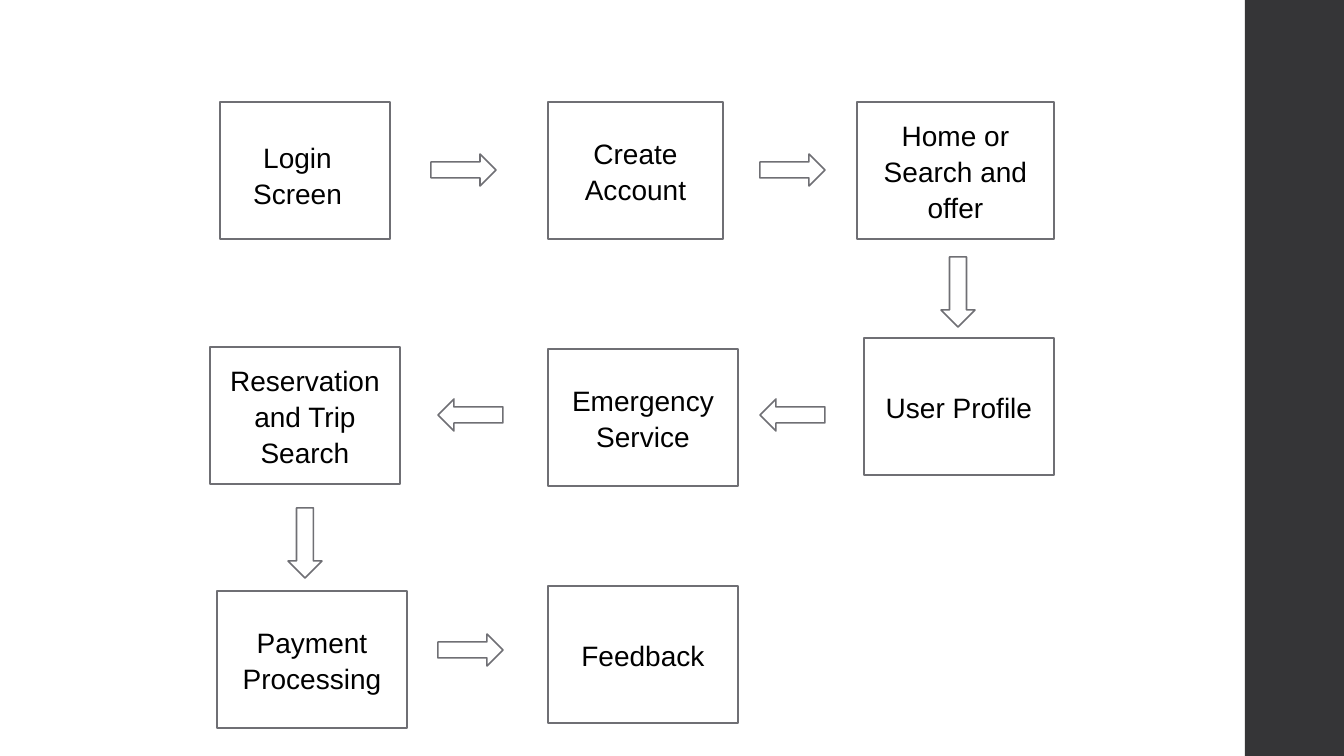
"""Build a flow chart slide of the screens in a booking app."""
import pptx
import pptx.util
import pptx.dml.color
import pptx.enum.shapes
import pptx.enum.text
from dataclasses import dataclass

MSO = pptx.enum.shapes.MSO_SHAPE
ANCHOR = pptx.enum.text.MSO_ANCHOR
SLIDE_W, SLIDE_H = 1344, 756
BOX_H = 137
SIDEBAR = (1245, 0, 99, SLIDE_H)

SCREENS = [
    ("", 220, 102, 170),
    ("Payment Processing", 217, 591, 190),
    ("Reservation and Trip Search", 210, 347, 190),
    ("Emergency Service", 548, 349, 190),
    ("User Profile", 864, 338, 190),
    ("Create Account", 548, 102, 175),
    ("Home or Search and offer", 857, 102, 197),
    ("Feedback", 548, 586, 190),
]
LOGIN = ("Login Screen", (228, 133, 139, 81))

RIGHT, LEFT, DOWN = MSO.RIGHT_ARROW, MSO.LEFT_ARROW, MSO.DOWN_ARROW
ARROW_SIZE = {RIGHT: (65, 32), LEFT: (65, 32), DOWN: (34, 70)}
ARROWS = [
    (RIGHT, 431, 154),
    (RIGHT, 760, 154),
    (DOWN, 941, 257),
    (DOWN, 288, 508),
    (LEFT, 760, 399),
    (LEFT, 438, 399),
    (RIGHT, 438, 634),
]


@dataclass(frozen=True)
class Theme:
    paper: str = "FFFFFF"
    sidebar: str = "353537"
    outline: str = "6F6F74"
    ink: str = "000000"
    font: str = "Arial"
    size: int = 20
    line: float = 1.1
    spacing: float = 1.07
    after: int = 8


THEME = Theme()


def px(n):
    return pptx.util.Emu(round(n * 9144000 / 1008))


def rgb(value):
    return pptx.dml.color.RGBColor.from_string(value)


def add_shape(s, kind, box, fill, line=None):
    sp = s.shapes.add_shape(kind, *map(px, box))
    sp.shadow.inherit = False
    sp.fill.solid()
    sp.fill.fore_color.rgb = rgb(fill)
    if line:
        sp.line.color.rgb = rgb(line)
        sp.line.width = pptx.util.Pt(THEME.line)
    else:
        sp.line.fill.background()
    return sp


def write(sp, text, anchor):
    tf = sp.text_frame
    tf.word_wrap = True
    tf.vertical_anchor = anchor
    p = tf.paragraphs[0]
    p.alignment = pptx.enum.text.PP_ALIGN.CENTER
    p.line_spacing = THEME.spacing
    p.space_after = pptx.util.Pt(THEME.after)
    r = p.add_run()
    r.text = text
    r.font.name = THEME.font
    r.font.size = pptx.util.Pt(THEME.size)
    r.font.color.rgb = rgb(THEME.ink)


def main():
    prs = pptx.Presentation()
    prs.slide_width, prs.slide_height = px(SLIDE_W), px(SLIDE_H)
    s = prs.slides.add_slide(prs.slide_layouts[6])
    s.background.fill.solid()
    s.background.fill.fore_color.rgb = rgb(THEME.paper)
    add_shape(s, MSO.RECTANGLE, SIDEBAR, THEME.sidebar)

    for text, x, y, w in SCREENS:
        sp = add_shape(s, MSO.RECTANGLE, (x, y, w, BOX_H), THEME.paper, THEME.outline)
        if text:
            write(sp, text, ANCHOR.MIDDLE)

    for kind, x, y in ARROWS:
        add_shape(s, kind, (x, y, *ARROW_SIZE[kind]), THEME.paper, THEME.outline)

    text, box = LOGIN
    sp = add_shape(s, MSO.RECTANGLE, box, THEME.paper, THEME.paper)
    write(sp, text, ANCHOR.TOP)
    sp.text_frame.auto_size = pptx.enum.text.MSO_AUTO_SIZE.SHAPE_TO_FIT_TEXT

    prs.save("out.pptx")


if __name__ == "__main__":
    main()
